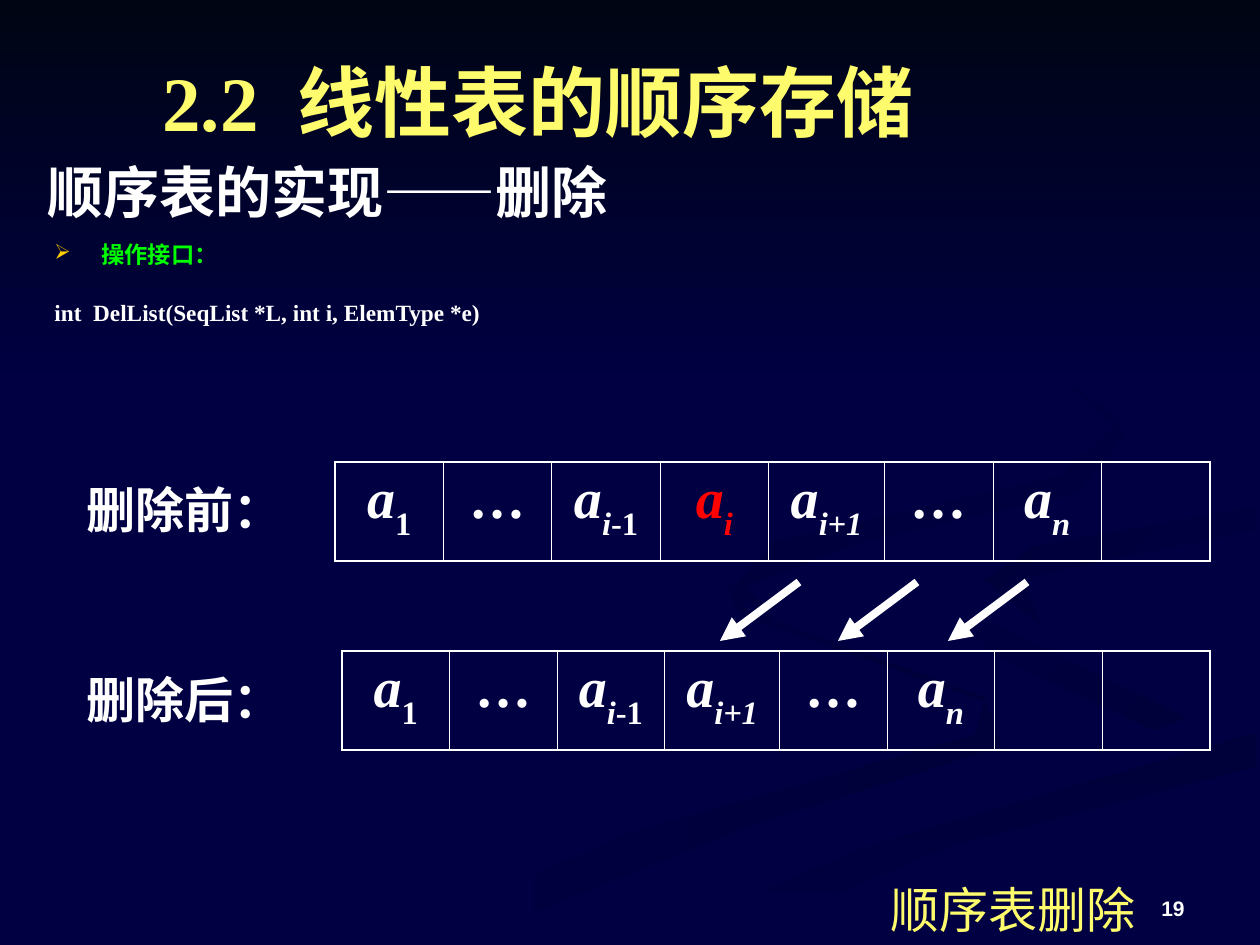
from lxml import etree
from pptx import Presentation, util as u
from pptx.dml.color import RGBColor
from pptx.enum import shapes, text
from pptx.oxml.ns import qn

PX = 914400 / 126
SANS, SERIF = "Arial", "Times New Roman"
NAVY = RGBColor(0x00, 0x00, 0x42)
NIGHT = RGBColor(0x00, 0x05, 0x14)
DEEP = RGBColor(0x00, 0x00, 0x3A)
WHITE = RGBColor(0xFF, 0xFF, 0xFF)
YELLOW = RGBColor(0xFE, 0xFB, 0x6D)
GREEN = RGBColor(0x00, 0xFF, 0x00)
RED = RGBColor(0xFF, 0x01, 0x01)


def px(n):
    return u.Emu(round(n * PX))


def add_run(paragraph, words, size, color, font=SERIF, bold=True, italic=False, subscript=False):
    run = paragraph.add_run()
    run.text = words
    run.font.size = u.Pt(size)
    run.font.name = font
    run.font.bold = bold
    run.font.italic = italic
    run.font.color.rgb = color
    if subscript:
        run.font._element.set("baseline", "-30000")


presentation = Presentation()
presentation.slide_width, presentation.slide_height = px(1260), px(945)
slide = presentation.slides.add_slide(presentation.slide_layouts[6])
slide.background.fill.solid()
slide.background.fill.fore_color.rgb = NAVY

# Background ribbons and the dark band at the top: colours, clockwise angle, outline
ribbons = [
    (NAVY, DEEP, 0, [(984, 697), (748, 611), (725, 578), (738, 614), (984, 701), (975, 735),
                     (629, 833), (378, 944), (455, 944), (748, 827), (1002, 746)]),
    (NAVY, DEEP, 45, [(1188, 718), (1119, 674), (912, 585), (1004, 660), (1157, 732), (1126, 762)]),
    (DEEP, NAVY, 90, [(634, 944), (719, 944), (947, 847), (1257, 767), (1257, 732), (877, 843)]),
    (NAVY, NAVY, 0, [(913, 585), (1188, 718), (936, 810), (601, 944), (877, 843), (1259, 732),
                     (1259, 678), (984, 583), (1259, 507), (1259, 488), (935, 553)]),
    (DEEP, NAVY, 45, [(984, 580), (1041, 625), (1023, 578), (1257, 529), (1257, 507), (1034, 546)]),
    (DEEP, NAVY, 45, [(861, 542), (1077, 493), (1126, 433), (960, 294), (1120, 422), (1061, 476),
                      (775, 541), (731, 590), (784, 630), (747, 586)]),
    (NIGHT, NAVY, 90, [(0, 0), (0, 388), (1260, 388), (1260, 0)]),
]
for start_color, end_color, angle, points in ribbons:
    builder = slide.shapes.build_freeform(*points[0], scale=PX)
    builder.add_line_segments(points[1:], close=True)
    shape = builder.convert_to_shape()
    shape.shadow.inherit = False
    shape.line.fill.background()
    shape.fill.gradient()
    shape.fill.gradient_angle = -angle % 360
    for stop, color in zip(shape.fill.gradient_stops, (start_color, end_color)):
        stop.color.rgb = color

# Single-line texts: box, words, size, colour, font, bold, wrap, alignment, anchor, vertical inset
LEFT, RIGHT = text.PP_ALIGN.LEFT, text.PP_ALIGN.RIGHT
TOP, MIDDLE, BOTTOM = text.MSO_ANCHOR.TOP, text.MSO_ANCHOR.MIDDLE, text.MSO_ANCHOR.BOTTOM
lines = [
    ((903, 861, 294, 66), "19", 12, WHITE, SANS, True, True, RIGHT, BOTTOM, 6),
    ((35, 149, 1018, 84), "顺序表的实现——删除", 32, WHITE, SANS, True, True, LEFT, MIDDLE, 6),
    ((74, 473, 258, 72), "删除前：", 28, WHITE, SERIF, True, True, LEFT, TOP, 6),
    ((74, 670, 228, 66), "删除后：", 28, WHITE, SERIF, True, True, LEFT, TOP, 6),
    ((878, 873, 270, 72), "顺序表删除", 28, YELLOW, SERIF, False, False, LEFT, TOP, 6),
    ((150, 54, 861, 92), "2.2  线性表的顺序存储", 44, YELLOW, SERIF, True, True, LEFT, TOP, 0),
]
for box, words, size, color, font, bold, wrap, alignment, anchor, inset in lines:
    frame = slide.shapes.add_textbox(*map(px, box)).text_frame
    frame.word_wrap = wrap
    frame.vertical_anchor = anchor
    frame.margin_top = frame.margin_bottom = px(inset)
    paragraph = frame.paragraphs[0]
    paragraph.alignment = alignment
    if words == "删除后：":
        paragraph.line_spacing = 0.9
    add_run(paragraph, words, size, color, font, bold)

# Operation interface
frame = slide.shapes.add_textbox(px(42), px(234), px(1155), px(95)).text_frame
frame.word_wrap = True
heading, signature = frame.paragraphs[0], frame.add_paragraph()
for paragraph in (heading, signature):
    paragraph.alignment = text.PP_ALIGN.JUSTIFY
    properties = paragraph._p.get_or_add_pPr()
    properties.set("marL", str(px(47)))
    properties.set("indent", str(px(-47)))
properties = heading._p.get_or_add_pPr()
bullet_color = etree.SubElement(properties, qn("a:buClr"))
etree.SubElement(bullet_color, qn("a:srgbClr"), val="FFCC00")
etree.SubElement(properties, qn("a:buSzPct"), val="90000")
etree.SubElement(properties, qn("a:buChar"), char="➢")
signature.space_before = u.Pt(17.5)
add_run(heading, "操作接口：", 13.3, GREEN)
add_run(signature, "int  DelList(SeqList *L, int i, ElemType *e)", 13.3, WHITE)

# List before and after deletion; an entry is (base, italic subscript, upright subscript)
first, dots, previous = ("a", "", "1"), ("…", "", ""), ("a", "i", "-1")
deleted, following, last, empty = ("a", "i", ""), ("a", "i+1", ""), ("a", "n", ""), ("", "", "")
tables = [
    (335, 462, 875, 116, [first, dots, previous, deleted, following, dots, last, empty]),
    (342, 651, 868, 115, [first, dots, previous, following, dots, last, empty, empty]),
]
for left, top, total_width, wide, entries in tables:
    count = len(entries)
    narrow = (total_width - wide) / (count - 1)
    table = slide.shapes.add_table(1, count, px(left), px(top), px(total_width), px(99)).table
    table.first_row = table.horz_banding = False
    for index, entry in enumerate(entries):
        table.columns[index].width = px(wide if entry == following else narrow)
        cell = table.cell(0, index)
        properties = cell._tc.get_or_add_tcPr()
        outer = {"a:lnT", "a:lnB"}
        if index == 0:
            outer.add("a:lnL")
        if index == count - 1:
            outer.add("a:lnR")
        for side in ("a:lnL", "a:lnR", "a:lnT", "a:lnB"):
            weight = 1.08 if side in outer else 0.45
            border = etree.SubElement(properties, qn(side), w=str(u.Pt(weight)))
            border_fill = etree.SubElement(border, qn("a:solidFill"))
            etree.SubElement(border_fill, qn("a:srgbClr"), val=str(WHITE))
        cell.fill.background()
        paragraph = cell.text_frame.paragraphs[0]
        paragraph.alignment = text.PP_ALIGN.CENTER
        color = RED if entry == deleted else WHITE
        base, slanted, upright = entry
        if base:
            add_run(paragraph, base, 32, color, italic=base == "a")
        if slanted:
            add_run(paragraph, slanted, 32, color, italic=True, subscript=True)
        if upright:
            add_run(paragraph, upright, 32, color, subscript=True)

# Each later element moves one place forward
for start_x in (799, 917, 1027):
    arrow = slide.shapes.add_connector(
        shapes.MSO_CONNECTOR.STRAIGHT, px(start_x), px(582), px(start_x - 79), px(641))
    arrow.line.color.rgb = WHITE
    arrow.line.width = u.Pt(4.5)
    etree.SubElement(arrow.line._get_or_add_ln(), qn("a:tailEnd"), type="triangle")
    etree.SubElement(arrow._element.spPr, qn("a:effectLst"))

presentation.save("out.pptx")
